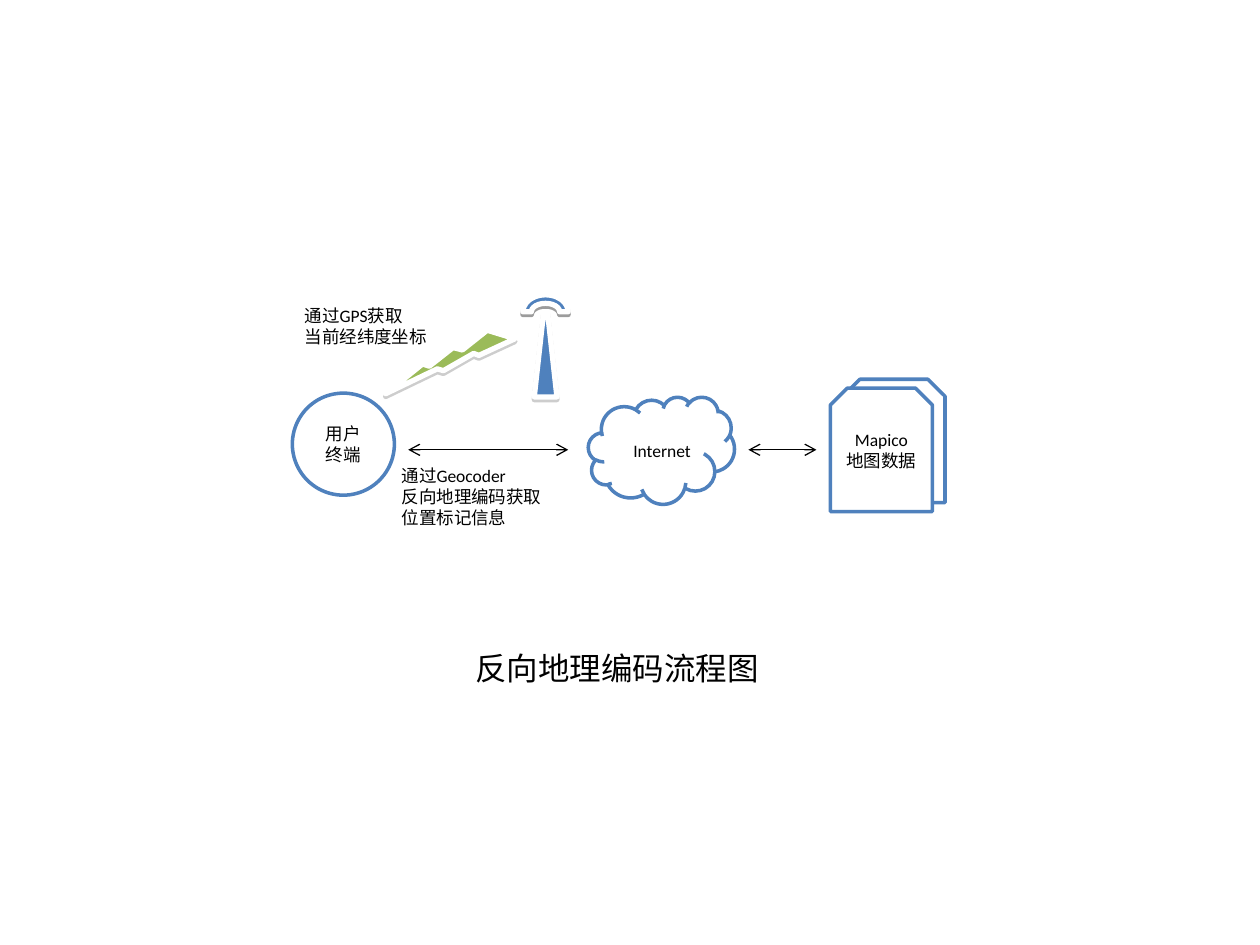
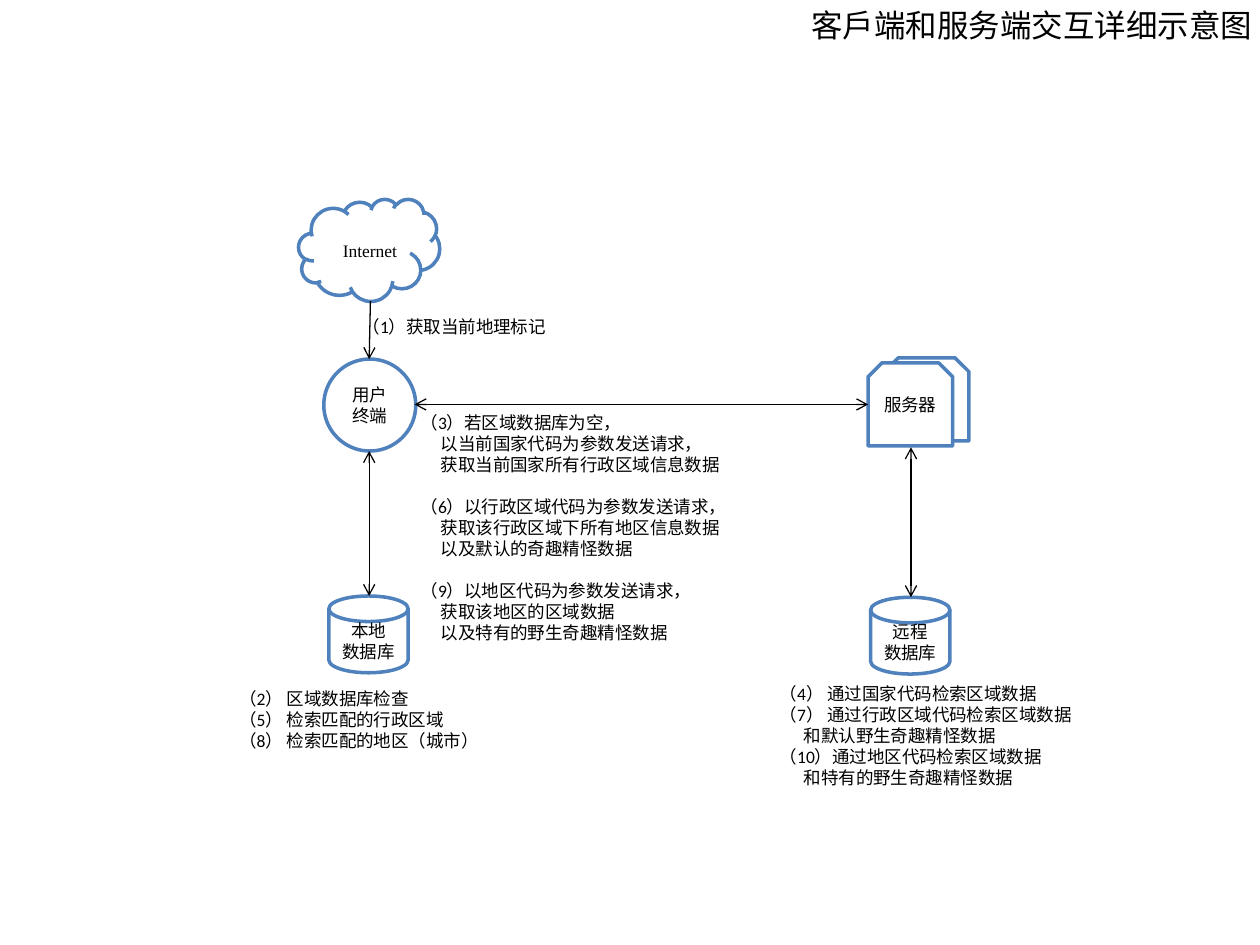
import lxml.etree
import pptx
import pptx.dml.color
import pptx.enum.shapes
import pptx.enum.text
import pptx.oxml.ns
import pptx.util
from dataclasses import dataclass

Inches, Pt = pptx.util.Inches, pptx.util.Pt
RGBColor = pptx.dml.color.RGBColor
SHAPE = pptx.enum.shapes.MSO_SHAPE
ALIGN = pptx.enum.text.PP_ALIGN
ANCHOR = pptx.enum.text.MSO_ANCHOR
qn = pptx.oxml.ns.qn


@dataclass(frozen=True)
class Theme:
    blue: RGBColor = RGBColor.from_string("4F81BD")
    green: RGBColor = RGBColor.from_string("9BBB59")
    white: RGBColor = RGBColor.from_string("FFFFFF")
    black: RGBColor = RGBColor.from_string("000000")
    font: str = "Calibri"
    cjk_font: str = "Noto Sans CJK SC"
    serif_font: str = "Times New Roman"
    title_size: int = 18
    body_size: int = 10


theme = Theme()


def write(shape, steps, size=theme.body_size, font=theme.font, align=ALIGN.LEFT,
          anchor=ANCHOR.TOP, indent=0, gap=0, wrap=False):
    """Write steps one below another; lines after a step's first are indented."""
    frame = shape.text_frame
    frame.word_wrap = wrap
    frame.vertical_anchor = anchor
    if align == ALIGN.LEFT:
        # The boxes fit their text closely, so leave the line end some room
        frame.margin_right = 0
    lines = [(number, line, text) for number, step in enumerate(steps)
             for line, text in enumerate(step.split("\n"))]
    for number, line, text in lines:
        first = number == line == 0
        paragraph = frame.paragraphs[0] if first else frame.add_paragraph()
        paragraph.text = text
        paragraph.alignment = align
        paragraph.space_before = Pt(gap if number and not line else 0)
        paragraph.font.size = Pt(size)
        paragraph.font.color.rgb = theme.black
        paragraph.font.name = font
        properties = paragraph._p.get_or_add_pPr()
        if line:
            properties.set("marL", str(Inches(indent)))
        # East Asian text takes its line height from the same font
        lxml.etree.SubElement(properties.find(qn("a:defRPr")), qn("a:ea"), typeface=font)


def draw(slide, kind, box, fill=theme.white, line=theme.blue, width=2):
    shape = slide.shapes.add_shape(kind, *map(Inches, box))
    shape.fill.solid()
    shape.fill.fore_color.rgb = fill
    shape.line.color.rgb = line
    shape.line.width = Pt(width)
    shape.shadow.inherit = False
    if kind == SHAPE.SNIP_2_SAME_RECTANGLE:
        shape.adjustments[0] = 0.167
    return shape


presentation = pptx.Presentation()
presentation.slide_width, presentation.slide_height = Inches(10), Inches(7.5)

titles = [
    ("反向地理编码流程图", (3.67, 5.1, 2.45, 0.4)),
    ("客戶端和服务端交互详细示意图", (6.34, 0, 3.7, 0.4)),
]
slides = []
for text, box in titles:
    slide = presentation.slides.add_slide(presentation.slide_layouts[5])
    title = slide.shapes.title
    title.left, title.top, title.width, title.height = map(Inches, box)
    write(title, [text], size=theme.title_size)
    slides.append(slide)
geocoding, interaction = slides

# GPS antenna and its signal
antenna_parts = [
    (SHAPE.ISOSCELES_TRIANGLE, (4.24, 2.34, 0.18, 0.81), theme.blue, 0, "808080"),
    (SHAPE.BLOCK_ARC, (4.15, 2.34, 0.36, 0.27), theme.blue, 0, "000000"),
    (SHAPE.LIGHTNING_BOLT, (3.41, 2.3, 0.3, 1.1), theme.green, 76.4, "808080"),
]
for kind, box, fill, rotation, shadow_color in antenna_parts:
    part = draw(geocoding, kind, box, fill, theme.white, 3)
    part.rotation = rotation
    effects = part._element.spPr.find(qn("a:effectLst"))
    shadow = lxml.etree.SubElement(effects, qn("a:outerShdw"), dist=str(Pt(1.6)),
                                   dir="5400000", rotWithShape="0")
    color = lxml.etree.SubElement(shadow, qn("a:srgbClr"), val=shadow_color)
    lxml.etree.SubElement(color, qn("a:alpha"), val="38000")

# Network nodes; an empty card stands behind each server
cloud, card = SHAPE.CLOUD, SHAPE.SNIP_2_SAME_RECTANGLE
disk = SHAPE.FLOWCHART_MAGNETIC_DISK
nodes = [
    (geocoding, cloud, (4.67, 3.15, 1.16, 0.85), ["Internet"], theme.font),
    (geocoding, SHAPE.OVAL, (2.32, 3.12, 0.81, 0.81), ["用户", "终端"], theme.font),
    (geocoding, card, (6.69, 3.01, 0.81, 0.98), [], theme.font),
    (geocoding, card, (6.59, 3.08, 0.81, 0.98), ["Mapico", "地图数据"], theme.font),
    (interaction, SHAPE.OVAL, (2.57, 2.85, 0.73, 0.73), ["用户", "终端"], theme.cjk_font),
    (interaction, disk, (2.61, 4.73, 0.63, 0.61), ["本地", "数据库"], theme.font),
    (interaction, cloud, (2.37, 1.58, 1.12, 0.81), ["Internet"], theme.serif_font),
    (interaction, disk, (6.91, 4.74, 0.63, 0.61), ["远程", "数据库"], theme.font),
    (interaction, card, (7.02, 2.84, 0.67, 0.66), [], theme.font),
    (interaction, card, (6.89, 2.88, 0.67, 0.66), ["服务器"], theme.cjk_font),
]
# Left, top and bottom margins that centre a label on its whole outline
label_margins = {cloud: (0.19, 0.09, 0.05), card: (0.1, 0.05, 0.11)}
for slide, kind, box, label, font in nodes:
    node = draw(slide, kind, box)
    write(node, label, font=font, align=ALIGN.CENTER, anchor=ANCHOR.MIDDLE)
    frame = node.text_frame
    frame.margin_left, frame.margin_top, frame.margin_bottom = map(
        Inches, label_margins.get(kind, (0.1, 0.05, 0.05)))

both_ends = ("headEnd", "tailEnd")
arrows = [
    (geocoding, (3.24, 3.57, 4.51, 3.57), both_ends),
    (geocoding, (5.94, 3.57, 6.48, 3.57), both_ends),
    (interaction, (2.94, 2.39, 2.93, 2.85), ("tailEnd",)),
    (interaction, (2.93, 3.58, 2.93, 4.73), both_ends),
    (interaction, (7.23, 3.55, 7.23, 4.74), both_ends),
    (interaction, (3.29, 3.21, 6.89, 3.21), both_ends),
]
for slide, ends, heads in arrows:
    arrow = slide.shapes.add_connector(
        pptx.enum.shapes.MSO_CONNECTOR.STRAIGHT, *map(Inches, ends))
    arrow.line.color.rgb = theme.black
    arrow.line.width = Pt(0.75)
    for head in heads:
        lxml.etree.SubElement(arrow.line._get_or_add_ln(), qn("a:" + head), type="arrow")
    lxml.etree.SubElement(arrow._element.spPr, qn("a:effectLst"))

notes = [
    (geocoding, (2.32, 2.37, 1.17, 0.44), ["通过GPS获取", "当前经纬度坐标"], {}),
    (geocoding, (3.09, 3.64, 1.3, 0.6),
     ["通过Geocoder", "反向地理编码获取", "位置标记信息"], {}),
    (interaction, (2.78, 2.46, 1.72, 0.27), ["（1）获取当前地理标记"], {}),
    (interaction, (1.8, 5.41, 2.17, 0.6),
     ["（2） 区域数据库检查", "（5） 检索匹配的行政区域", "（8） 检索匹配的地区（城市）"], {}),
    (interaction, (3.24, 3.22, 3.08, 2.11),
     ["（3）若区域数据库为空，\n以当前国家代码为参数发送请求，\n获取当前国家所有行政区域信息数据",
      "（6）以行政区域代码为参数发送请求，\n获取该行政区域下所有地区信息数据\n以及默认的奇趣精怪数据",
      "（9）以地区代码为参数发送请求，\n获取该地区的区域数据\n以及特有的野生奇趣精怪数据"],
     {"indent": 0.16, "gap": 12, "wrap": True}),
    (interaction, (6.09, 5.37, 2.58, 0.94),
     ["（4） 通过国家代码检索区域数据",
      "（7） 通过行政区域代码检索区域数据\n和默认野生奇趣精怪数据",
      "（10）通过地区代码检索区域数据\n和特有的野生奇趣精怪数据"],
     {"indent": 0.19}),
]
for slide, box, steps, layout in notes:
    write(slide.shapes.add_textbox(*map(Inches, box)), steps, **layout)

presentation.save("out.pptx")
